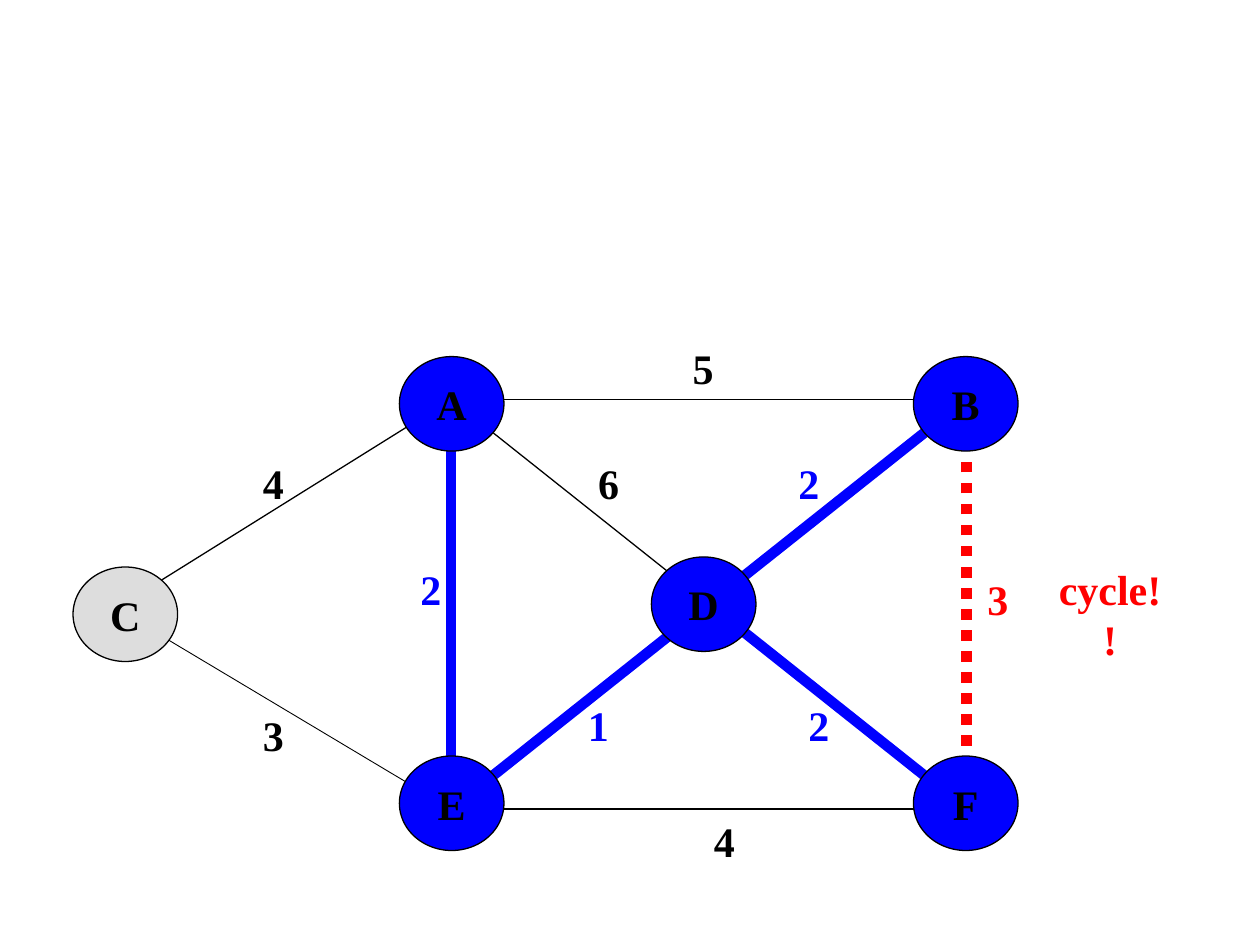
from dataclasses import dataclass
from lxml import etree
from pptx import Presentation
from pptx import util as u
from pptx.dml.color import RGBColor
from pptx.enum import dml, shapes, text
from pptx.oxml.ns import qn


@dataclass(frozen=True)
class Theme:
    ink: str = "000000"
    tree: str = "0000FF"
    loop: str = "FF0000"
    rest: str = "DDDDDD"
    font: str = "Times New Roman"
    size: float = 24
    hair: float = 0.5
    thin: float = 0.75
    thick: float = 6


class Graph:
    def __init__(self, slide, theme):
        self.slide = slide
        self.theme = theme

    def letter(self, shape, words, color, **frame):
        box = shape.text_frame
        for key, value in frame.items():
            setattr(box, key, value)
        box.text = words
        para = box.paragraphs[0]
        para.alignment = text.PP_ALIGN.CENTER
        look = {"name": self.theme.font, "size": u.Pt(self.theme.size), "bold": True}
        for key, value in look.items():
            setattr(para.font, key, value)
        para.font.color.rgb = RGBColor.from_string(color)

    def edge(self, start, end, color, width, dash=None):
        ends = [u.Inches(n) for n in (*start, *end)]
        link = self.slide.shapes.add_connector(shapes.MSO_CONNECTOR.STRAIGHT, *ends)
        link.line.color.rgb = RGBColor.from_string(color)
        for key, value in {"width": u.Pt(width), "dash_style": dash}.items():
            setattr(link.line, key, value)
        etree.SubElement(link._element.spPr, qn("a:effectLst"))

    def node(self, name, left, top, color):
        area = [u.Inches(n) for n in (left, top, 0.83, 0.75)]
        oval = self.slide.shapes.add_shape(shapes.MSO_SHAPE.OVAL, *area)
        oval.shadow.inherit = False
        oval.fill.solid()
        oval.fill.fore_color.rgb = RGBColor.from_string(color)
        oval.line.color.rgb = RGBColor.from_string(self.theme.ink)
        oval.line.width = u.Pt(self.theme.thin)
        self.letter(oval, name, self.theme.ink, word_wrap=False,
                    vertical_anchor=text.MSO_ANCHOR.MIDDLE)

    def label(self, words, left, top, color, width=0.5, wrap=True):
        area = [u.Inches(n) for n in (left, top, width, 0.5)]
        box = self.slide.shapes.add_textbox(*area)
        self.letter(box, words, color, word_wrap=wrap,
                    auto_size=text.MSO_AUTO_SIZE.SHAPE_TO_FIT_TEXT)


def main():
    deck = Presentation()
    deck.slide_width, deck.slide_height = u.Inches(10), u.Inches(7.5)
    theme = Theme()
    graph = Graph(deck.slides.add_slide(deck.slide_layouts[6]), theme)

    # Points where edges meet; D has one on each side of its centre
    west, east, north, south, mid = 3.58, 7.67, 3.17, 6.42, 4.83
    spot = {"A": (west, north), "B": (east, north), "C": (0.92, mid),
            "D": (5.58, mid), "d": (5.67, mid),
            "E": (west, south), "F": (east, south)}

    # Edges: plain, in the tree, or closing a cycle
    plain = (theme.ink, theme.thin)
    tree = (theme.tree, theme.thick)
    loop = (theme.loop, theme.thick, dml.MSO_LINE.ROUND_DOT)
    for pair, look in (("EF", plain), ("FB", loop), ("BA", plain), ("AE", tree),
                       ("dF", tree), ("Ad", plain), ("DE", tree), ("DB", tree),
                       ("CA", plain), ("CE", (theme.ink, theme.hair))):
        graph.edge(spot[pair[0]], spot[pair[1]], *look)

    # Nodes: grey until reached
    for name, left, top in (("C", 0.58, 4.5), ("F", 7.25, 6), ("E", 3.17, 6),
                            ("A", 3.17, 2.83), ("B", 7.25, 2.83), ("D", 5.17, 4.42)):
        graph.node(name, left, top, theme.rest if name == "C" else theme.tree)

    # Edge weights
    costs = {
        theme.ink: (("5", 5.33, 2.67), ("6", 4.58, 3.58), ("4", 1.92, 3.58),
                    ("3", 1.92, 5.58), ("4", 5.5, 6.42)),
        theme.tree: (("2", 3.17, 4.42), ("1", 4.5, 5.5), ("2", 6.25, 5.5),
                     ("2", 6.17, 3.58)),
        theme.loop: (("3", 7.67, 4.5),),
    }
    for color, group in costs.items():
        for cost, left, top in group:
            graph.label(cost, left, top, color)

    # Remark on the rejected edge
    graph.label("cycle!!", 8.25, 4.42, theme.loop, width=1.12, wrap=False)

    deck.save("out.pptx")


if __name__ == "__main__":
    main()
